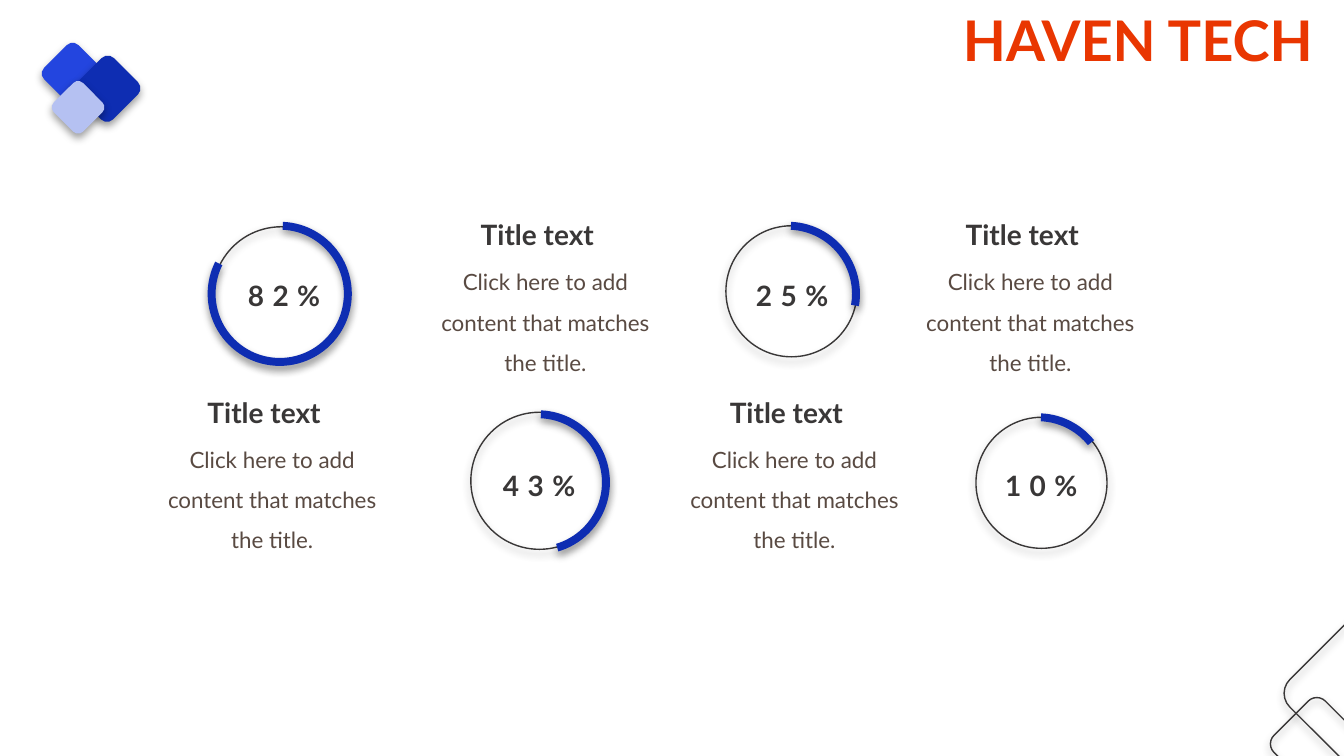
from dataclasses import dataclass

import pptx
import pptx.dml.color
import pptx.enum.shapes
import pptx.enum.text
import pptx.oxml
import pptx.oxml.ns
import pptx.util
from pptx.util import Inches

SHAPE = pptx.enum.shapes.MSO_SHAPE
ALIGN = pptx.enum.text.PP_ALIGN


@dataclass(frozen=True)
class Theme:
    font: str = "Lato"
    brand: str = "E93601"
    bright: str = "2345DF"
    accent: str = "0E2DB2"
    pale: str = "B5C1F2"
    dark: str = "393737"
    body: str = "594A42"
    brand_size: int = 40
    heading_size: int = 20
    body_size: int = 16


SHADOW = (
    f'<a:outerShdw {pptx.oxml.ns.nsdecls("a")} blurRad="76200" dist="38100" '
    'dir="5400000" algn="t" rotWithShape="0"><a:srgbClr val="000000">'
    '<a:alpha val="39000"/></a:srgbClr></a:outerShdw>'
)


def rgb(color):
    return pptx.dml.color.RGBColor.from_string(color)


class Builder:
    def __init__(self, prs, theme):
        self.theme = theme
        self.s = prs.slides.add_slide(prs.slide_layouts[5])

    def style(self, p, size, color, bold=False, align=ALIGN.LEFT):
        p.alignment = align
        p.font.name = self.theme.font
        p.font.size = pptx.util.Pt(size)
        p.font.bold = bold
        p.font.color.rgb = rgb(color)

    def title(self, text, x, y, w, h):
        sp = self.s.shapes.title
        sp.left, sp.top, sp.width, sp.height = map(Inches, (x, y, w, h))
        tf = sp.text_frame
        tf.text = text
        tf.word_wrap = True
        tf.auto_size = pptx.enum.text.MSO_AUTO_SIZE.NONE
        tf.vertical_anchor = pptx.enum.text.MSO_ANCHOR.TOP
        self.style(tf.paragraphs[0], self.theme.brand_size, self.theme.brand, bold=True)

    def text(self, text, x, y, w, h, wrap=False):
        tf = self.s.shapes.add_textbox(*map(Inches, (x, y, w, h))).text_frame
        tf.text = text
        tf.word_wrap = wrap
        tf.auto_size = pptx.enum.text.MSO_AUTO_SIZE.SHAPE_TO_FIT_TEXT
        return tf.paragraphs[0]

    def heading(self, text, x, y, w):
        p = self.text(text, x, y, w, 0.44)
        self.style(p, self.theme.heading_size, self.theme.dark, bold=True)
        return p

    def shape(self, kind, x, y, w, h, fill=None, rotation=0, adjustments=()):
        """Draw a shadowed shape: filled without a line, or outlined without a fill."""
        sp = self.s.shapes.add_shape(kind, *map(Inches, (x, y, w, h)))
        sp.rotation = rotation
        for i, value in enumerate(adjustments):
            sp.adjustments[i] = value
        if fill:
            sp.fill.solid()
            sp.fill.fore_color.rgb = rgb(fill)
            sp.line.fill.background()
        else:
            sp.fill.background()
            sp.line.color.rgb = rgb(self.theme.dark)
            sp.line.width = pptx.util.Pt(1)
        sp.shadow.inherit = False
        effects = sp._element.spPr.find(pptx.oxml.ns.qn("a:effectLst"))
        effects.append(pptx.oxml.parse_xml(SHADOW))

    def diamond(self, x, y, w, h, fill=None):
        self.shape(SHAPE.ROUNDED_RECTANGLE, x, y, w, h, fill, rotation=45)

    def gauge(self, label, circle, arc, label_at, end):
        """Draw a ring whose thick arc runs from the top to the angle end."""
        x, y, size = circle
        self.shape(SHAPE.OVAL, x, y, size, size)
        # Adjustments count angles in units of 100000 / 60000 degrees.
        self.shape(SHAPE.BLOCK_ARC, *arc, 1.43, 1.43, self.theme.accent,
                   rotation=330, adjustments=(302.57 * 0.6, end * 0.6, 0.055))
        p = self.heading(label, *label_at, 1.06)
        p.runs[0].font._element.set("spc", "600")

    def card(self, x, y):
        self.heading("Title text", x, y, 1.46)
        p = self.text("Click here to add content that matches the title.",
                      x - 0.56, y + 0.37, 2.6, 1.31, wrap=True)
        self.style(p, self.theme.body_size, self.theme.body, align=ALIGN.CENTER)
        p.line_spacing = 1.5


def main():
    prs = pptx.Presentation()
    prs.slide_width, prs.slide_height = Inches(13.33), Inches(7.5)
    theme = Theme()
    b = Builder(prs, theme)

    b.diamond(0.48, 0.49, 0.48, 0.48, theme.bright)
    b.diamond(0.81, 0.62, 0.51, 0.52, theme.accent)
    b.diamond(0.57, 0.86, 0.41, 0.41, theme.pale)
    b.diamond(12.7, 7.02, 0.72, 0.72)
    b.diamond(12.9, 6.29, 1.16, 1.17)
    b.title("HAVEN TECH", 9.45, 0, 3.89, 0.77)

    b.gauge("82%", (2.11, 2.25, 1.36), (2.06, 2.2), (2.36, 2.71), 236.52)
    b.gauge("43%", (4.67, 4.09, 1.36), (4.62, 4.07), (4.89, 4.6), 103.47)
    b.gauge("25%", (7.2, 2.24, 1.3), (7.1, 2.2), (7.4, 2.71), 39.86)
    b.gauge("10%", (9.68, 4.14, 1.3), (9.58, 4.1), (9.87, 4.6), 351.2)

    for x, y in ((1.96, 3.87), (7.14, 3.87), (4.67, 2.11), (9.48, 2.11)):
        b.card(x, y)

    prs.save("out.pptx")


if __name__ == "__main__":
    main()
